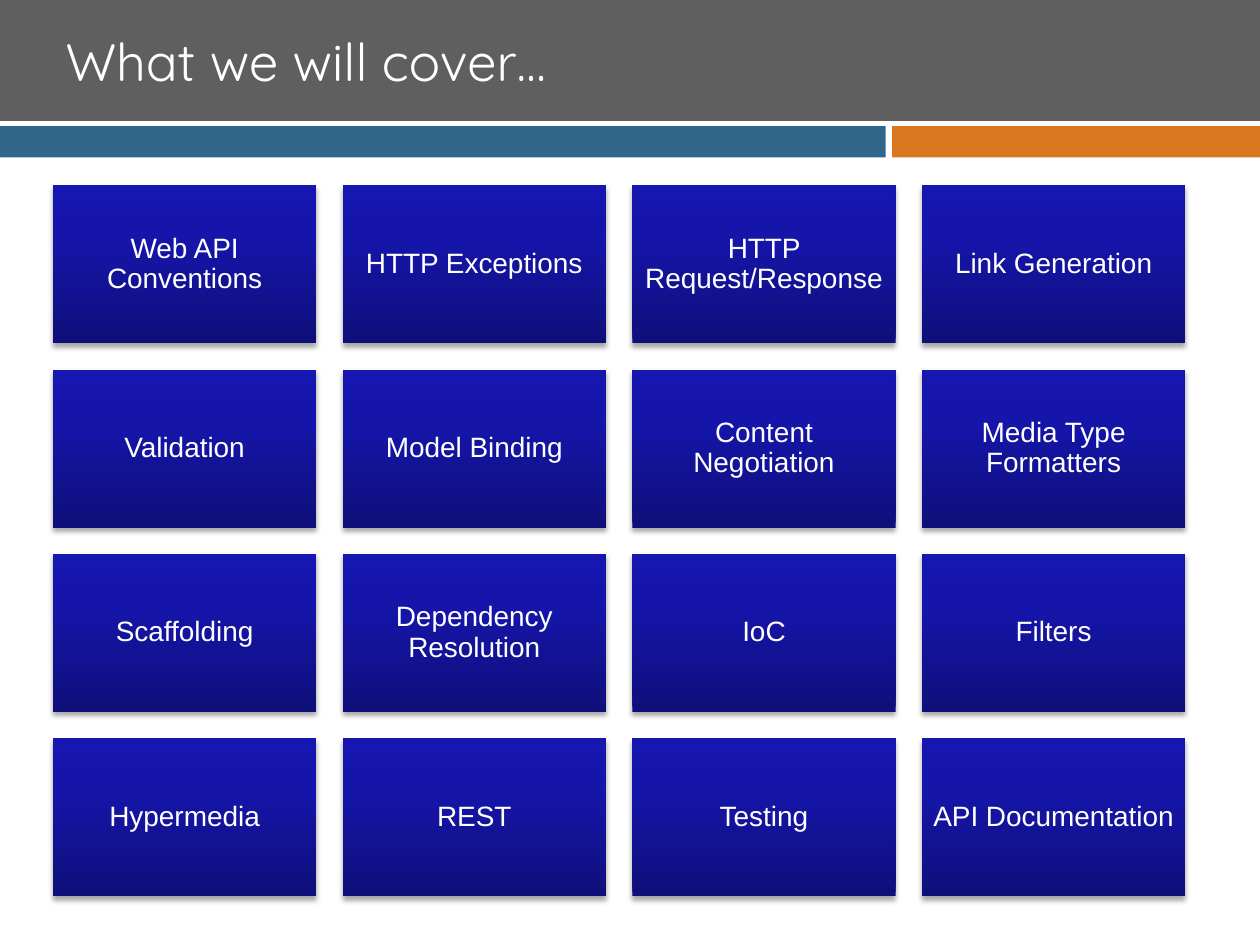
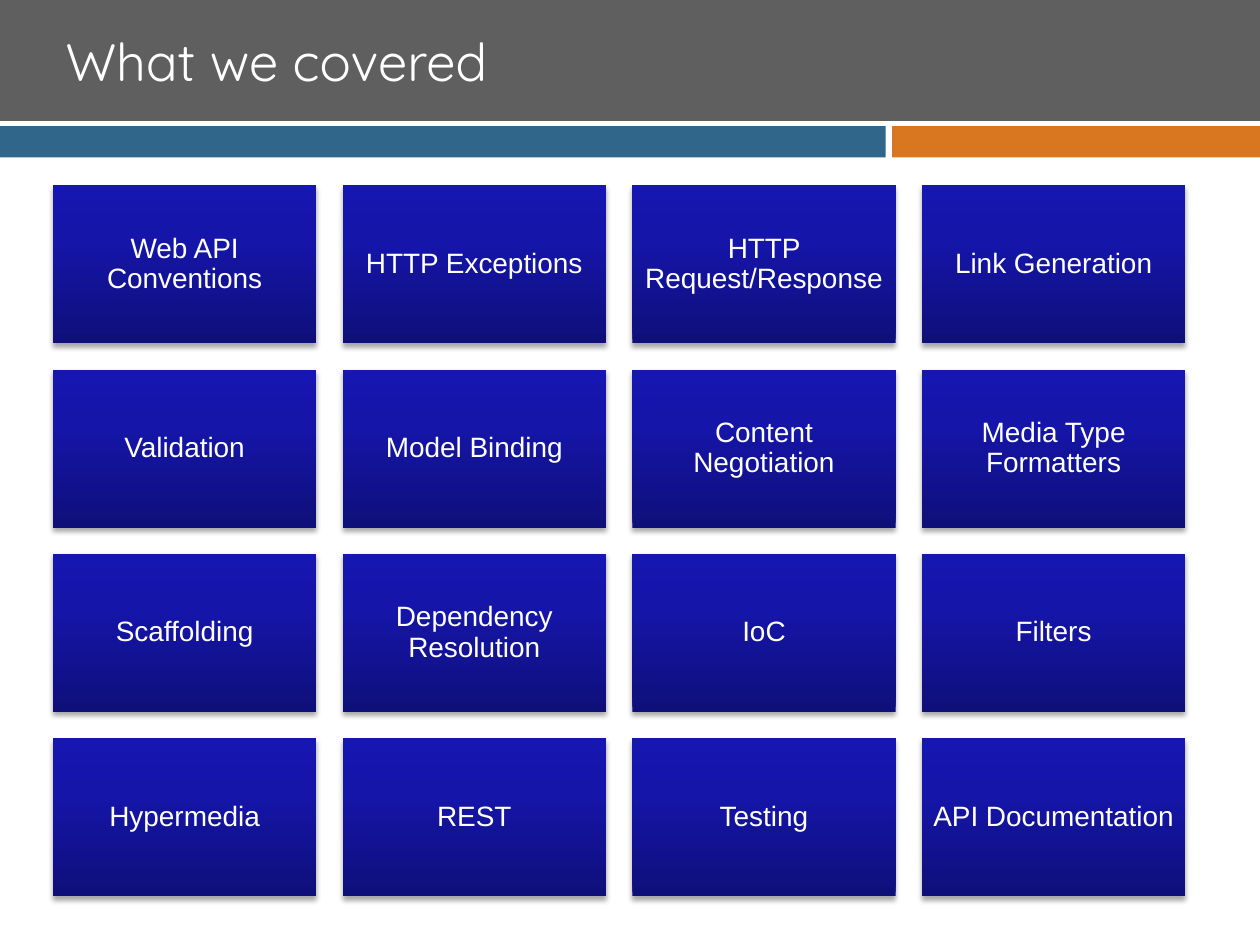
from pptx import Presentation
from pptx.dml.color import RGBColor
from pptx.enum.shapes import MSO_SHAPE
from pptx.enum.text import MSO_ANCHOR, MSO_AUTO_SIZE, PP_ALIGN
from pptx.oxml import parse_xml
from pptx.oxml.ns import nsdecls
from pptx.util import Inches, Pt

RECTANGLE = MSO_SHAPE.RECTANGLE
MIDDLE = MSO_ANCHOR.MIDDLE
NO_AUTOFIT = MSO_AUTO_SIZE.NONE
LEFT, CENTER = PP_ALIGN.LEFT, PP_ALIGN.CENTER

WHITE = RGBColor(0xFF, 0xFF, 0xFF)
BLACK = RGBColor(0x00, 0x00, 0x00)
GREY = RGBColor(0x5F, 0x5F, 0x5F)
ORANGE = RGBColor(0xD8, 0x77, 0x1F)
STEEL_BLUE = RGBColor(0x31, 0x66, 0x8B)
NAVY = RGBColor(0x0F, 0x0F, 0x7A)
DEEP_BLUE = RGBColor(0x15, 0x15, 0xA9)
ROYAL_BLUE = RGBColor(0x16, 0x16, 0xB1)

SLIDE_WIDTH, SLIDE_HEIGHT = Inches(10), Inches(7.5)
MARGIN = Inches(0.42)
GRID_TOP = Inches(1.47)
TILE_WIDTH = Inches(2.09)
TILE_HEIGHT = int(TILE_WIDTH * 0.6)
GAP = int(TILE_WIDTH * 0.1)
COLUMNS = 4
BANDS = [
    (0, 0, 10, 0.96, GREY),
    (7.08, 1, 2.92, 0.25, ORANGE),
    (0, 1, 7.03, 0.25, STEEL_BLUE),
]
TILE_STOPS = [(0, NAVY), (65, DEEP_BLUE), (100, ROYAL_BLUE)]

TITLES = ["What we will cover…", "What we covered"]
TOPICS = [
    "Web API Conventions", "HTTP Exceptions", "HTTP Request/Response", "Link Generation",
    "Validation", "Model Binding", "Content Negotiation", "Media Type Formatters",
    "Scaffolding", "Dependency Resolution", "IoC", "Filters",
    "Hypermedia", "REST", "Testing", "API Documentation",
]


def shadow_effect(blur, distance, angle, opacity):
    return parse_xml(
        f'<a:effectLst {nsdecls("a")}><a:outerShdw blurRad="{Pt(blur)}" dist="{Pt(distance)}" '
        f'dir="{angle * 60000}" rotWithShape="0"><a:srgbClr val="{BLACK}">'
        f'<a:alpha val="{opacity * 1000}"/></a:srgbClr></a:outerShdw></a:effectLst>')


def upward_gradient(stops):
    marks = "".join(
        f'<a:gs pos="{share * 1000}"><a:srgbClr val="{color}"/></a:gs>' for share, color in stops)
    return parse_xml(
        f'<a:gradFill {nsdecls("a")} rotWithShape="1"><a:gsLst>{marks}</a:gsLst>'
        '<a:lin ang="16200000" scaled="0"/></a:gradFill>')


class TopicDeck:
    title_font, title_size = "Quicksand", Pt(30)
    topic_font, topic_size = "Arial", Pt(16)

    def __init__(self):
        self.presentation = Presentation()
        self.presentation.slide_width = SLIDE_WIDTH
        self.presentation.slide_height = SLIDE_HEIGHT
        self.slide = None

    def new_slide(self, heading):
        title_only = self.presentation.slide_layouts[5]
        self.slide = self.presentation.slides.add_slide(title_only)
        for left, top, width, height, color in BANDS:
            self.band(Inches(left), Inches(top), Inches(width), Inches(height), color)
        self.title(heading)

    def rectangle(self, left, top, width, height):
        box = self.slide.shapes.add_shape(RECTANGLE, left, top, width, height)
        box.line.fill.background()
        return box

    def band(self, left, top, width, height, color):
        strip = self.rectangle(left, top, width, height)
        strip.shadow.inherit = False
        strip.fill.solid()
        strip.fill.fore_color.rgb = color

    def set_words(self, frame, words, font, size, alignment):
        frame.text = words
        frame.word_wrap = True
        frame.auto_size = NO_AUTOFIT
        frame.vertical_anchor = MIDDLE
        paragraph = frame.paragraphs[0]
        paragraph.alignment = alignment
        run = paragraph.runs[0]
        run.font.name = font
        run.font.size = size
        run.font.color.rgb = WHITE
        return paragraph

    def title(self, heading):
        holder = self.slide.shapes.title
        holder.left, holder.top = MARGIN, Inches(0.08)
        holder.width, holder.height = Inches(9.08), Inches(0.8)
        paragraph = self.set_words(
            holder.text_frame, heading, self.title_font, self.title_size, LEFT)
        properties = paragraph.runs[0]._r.get_or_add_rPr()
        properties.find("{*}solidFill").addnext(shadow_effect(3, 3, 45, 100))
        self.slide.shapes._spTree.append(holder._element)

    def tile(self, column, row, topic):
        box = self.rectangle(
            MARGIN + column * (TILE_WIDTH + GAP), GRID_TOP + row * (TILE_HEIGHT + GAP),
            TILE_WIDTH, TILE_HEIGHT)
        properties = box._element.spPr
        properties.find("{*}prstGeom").addnext(upward_gradient(TILE_STOPS))
        properties.append(shadow_effect(3.1, 2, 90, 35))
        frame = box.text_frame
        frame.margin_left = frame.margin_right = Inches(0.07)
        frame.margin_top = frame.margin_bottom = Inches(0.07)
        paragraph = self.set_words(frame, topic, self.topic_font, self.topic_size, CENTER)
        paragraph.line_spacing = 0.9
        paragraph.space_after = Pt(5.6)


def main():
    deck = TopicDeck()
    for heading in TITLES:
        deck.new_slide(heading)
        for position, topic in enumerate(TOPICS):
            row, column = divmod(position, COLUMNS)
            deck.tile(column, row, topic)
    deck.presentation.save("out.pptx")


if __name__ == "__main__":
    main()
